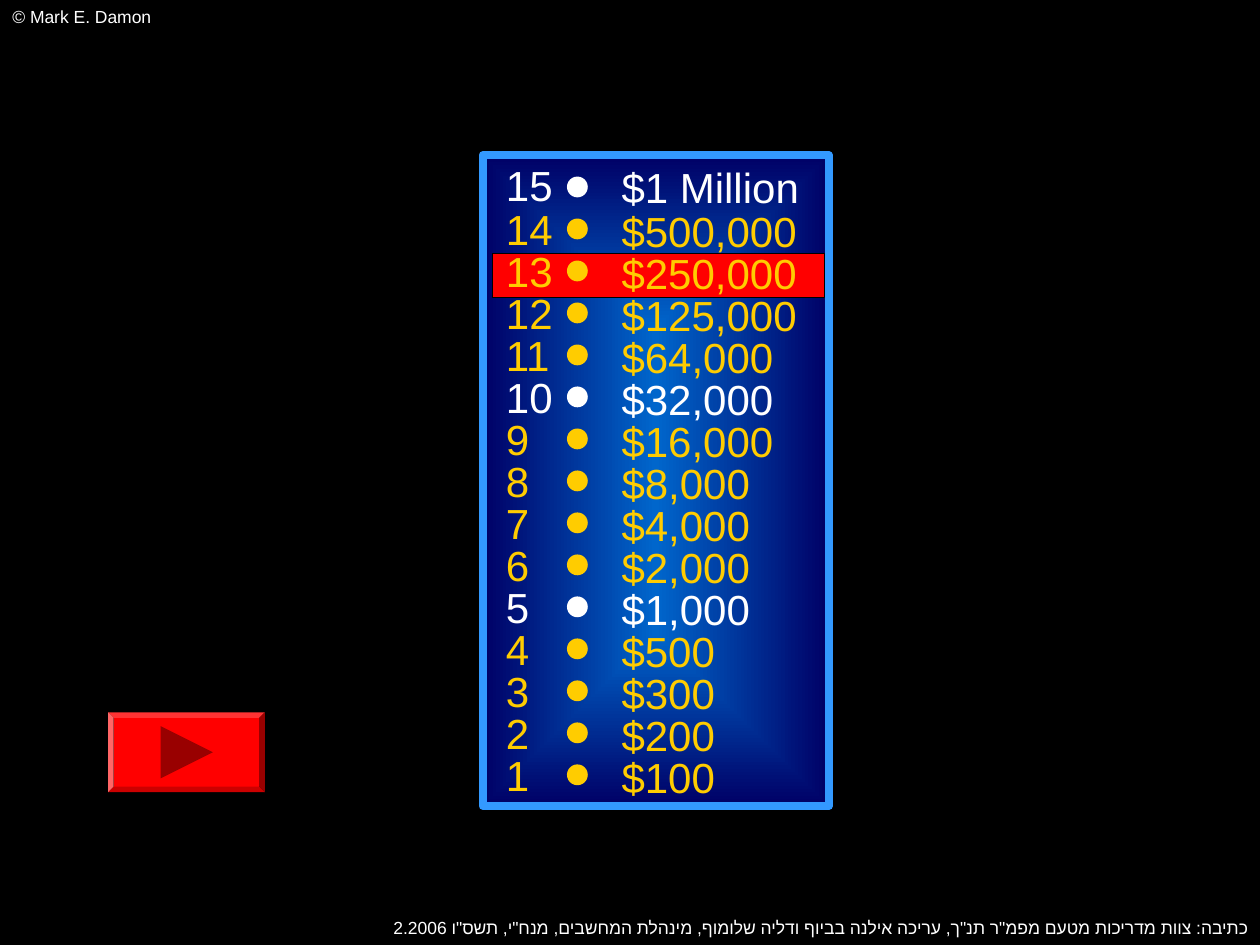
"""Builds a prize ladder slide with one highlighted level and a forward button."""
import lxml.etree
import pptx
import pptx.dml.color
import pptx.enum.dml
import pptx.enum.shapes
import pptx.enum.text
import pptx.oxml
import pptx.oxml.ns
import pptx.util

PRIZES = [
    "$1 Million", "$500,000", "$250,000", "$125,000", "$64,000",
    "$32,000", "$16,000", "$8,000", "$4,000", "$2,000",
    "$1,000", "$500", "$300", "$200", "$100",
]
COPYRIGHT = "© Mark E. Damon"
CREDITS = (
    'כתיבה: צוות מדריכות מטעם מפמ"ר תנ"ך, עריכה אילנה בביוף ודליה שלומוף, '
    'מינהלת המחשבים, מנח"י, תשס"ו 2.2006'
)
COLOURS = {
    "black": "000000", "white": "FFFFFF", "gold": "FFCC00", "red": "FF0000",
    "dark red": "990000", "frame": "3399FF", "centre": "0066CC", "edge": "000066",
}
AMOUNT_WIDTHS = {"$500": 2.77, "$200": 3.71}
AMOUNT_WIDTH = 4.45
SLIDE_WIDTH, SLIDE_HEIGHT = 25.4, 19.05
ROW_PITCH = 11.85 / (len(PRIZES) - 1)
NUMBER_TOP, AMOUNT_TOP, DOT_TOP = 3.14, 3.18, 3.56
TOP_ROW_LIFT = 0.04
MILESTONE_STEP = 5

SHAPES = pptx.enum.shapes.MSO_SHAPE
ALIGN = pptx.enum.text.PP_ALIGN


def colour(name):
    """Return the named colour."""
    return pptx.dml.color.RGBColor.from_string(COLOURS[name])


def lengths(*values):
    """Turn centimetre values into lengths."""
    return [pptx.util.Cm(value) for value in values]


def add_text(slide, text, box, size=24, font="Arial", fill="white", rtl=False):
    """Add a text box holding one formatted paragraph."""
    frame = slide.shapes.add_textbox(*lengths(*box)).text_frame
    frame.word_wrap = True
    frame.auto_size = pptx.enum.text.MSO_AUTO_SIZE.SHAPE_TO_FIT_TEXT
    paragraph = frame.paragraphs[0]
    paragraph.alignment = ALIGN.RIGHT if rtl else ALIGN.LEFT
    run = paragraph.add_run()
    run.text = text
    run.font.size = pptx.util.Pt(size)
    run.font.name = font
    run.font.color.rgb = colour(fill)
    if rtl:
        paragraph._p.get_or_add_pPr().set("rtl", "1")
        complex_font = lxml.etree.SubElement(run.font._element, pptx.oxml.ns.qn("a:cs"))
        complex_font.set("typeface", "Arial")


def add_shape(slide, kind, box, fill, line=None, width=0.75):
    """Add a flat preset shape, outlined only when a line colour is given."""
    shape = slide.shapes.add_shape(kind, *lengths(*box))
    shape.shadow.inherit = False
    shape.fill.solid()
    shape.fill.fore_color.rgb = colour(fill)
    if line:
        shape.line.color.rgb = colour(line)
        shape.line.width = pptx.util.Pt(width)
    else:
        shape.line.fill.background()
    return shape


def glow_from_centre(shape):
    """Fill a shape with a rectangular gradient around its centre."""
    shape.fill.gradient()
    for stop, name, position in zip(shape.fill.gradient_stops, ("centre", "edge"), (0, 1)):
        stop.color.rgb = colour(name)
        stop.position = position
    linear = shape._element.spPr.find(".//" + pptx.oxml.ns.qn("a:lin"))
    linear.getparent().replace(linear, pptx.oxml.parse_xml(
        f'<a:path {pptx.oxml.ns.nsdecls("a")} path="rect">'
        '<a:fillToRect l="50000" t="50000" r="50000" b="50000"/></a:path>'
    ))


def add_ladder(slide):
    """Add the framed ladder of levels, amounts and dots."""
    panel = add_shape(slide, SHAPES.RECTANGLE, (9.73, 3.13, 6.98, 13.12),
                      "centre", line="frame", width=4.5)
    glow_from_centre(panel)
    add_shape(slide, SHAPES.RECTANGLE, (9.93, 5.11, 6.7, 0.89), "red", line="black")

    rows = []
    for index, amount in enumerate(PRIZES):
        level = len(PRIZES) - index
        fill = "gold" if level % MILESTONE_STEP else "white"
        rows.append((level, amount, fill, index * ROW_PITCH, 0 if index else TOP_ROW_LIFT))

    for level, _, fill, offset, lift in rows:
        add_text(slide, str(level), (9.95, NUMBER_TOP + offset - lift, 1.9, 1.28), fill=fill)
    for _, amount, fill, offset, lift in rows:
        width = AMOUNT_WIDTHS.get(amount, AMOUNT_WIDTH)
        add_text(slide, amount, (12.28, AMOUNT_TOP + offset - lift, width, 1.28), fill=fill)
    for _, _, fill, offset, _ in rows:
        add_shape(slide, SHAPES.OVAL, (11.43, DOT_TOP + offset, 0.42, 0.42), fill)


def add_forward_button(slide):
    """Add the bevelled button with its arrow."""
    button = add_shape(slide, SHAPES.BEVEL, (2.18, 14.36, 3.16, 1.61), "red")
    button.adjustments[0] = 0.07
    arrow = add_shape(slide, SHAPES.ISOSCELES_TRIANGLE, (3.24, 14.64, 1.05, 1.05), "dark red")
    arrow.rotation = 90


def main():
    presentation = pptx.Presentation()
    presentation.slide_width, presentation.slide_height = lengths(SLIDE_WIDTH, SLIDE_HEIGHT)
    slide = presentation.slides.add_slide(presentation.slide_layouts[6])
    add_shape(slide, SHAPES.RECTANGLE, (0, 0, SLIDE_WIDTH, SLIDE_HEIGHT), "black", line="black")
    add_text(slide, COPYRIGHT, (0, 0, 13.03, 0.68), size=10)
    add_text(slide, CREDITS, (3.73, 18.37, 21.67, 0.68), size=10,
             font="Times New Roman", rtl=True)
    add_ladder(slide)
    add_forward_button(slide)
    presentation.save("out.pptx")


if __name__ == "__main__":
    main()
